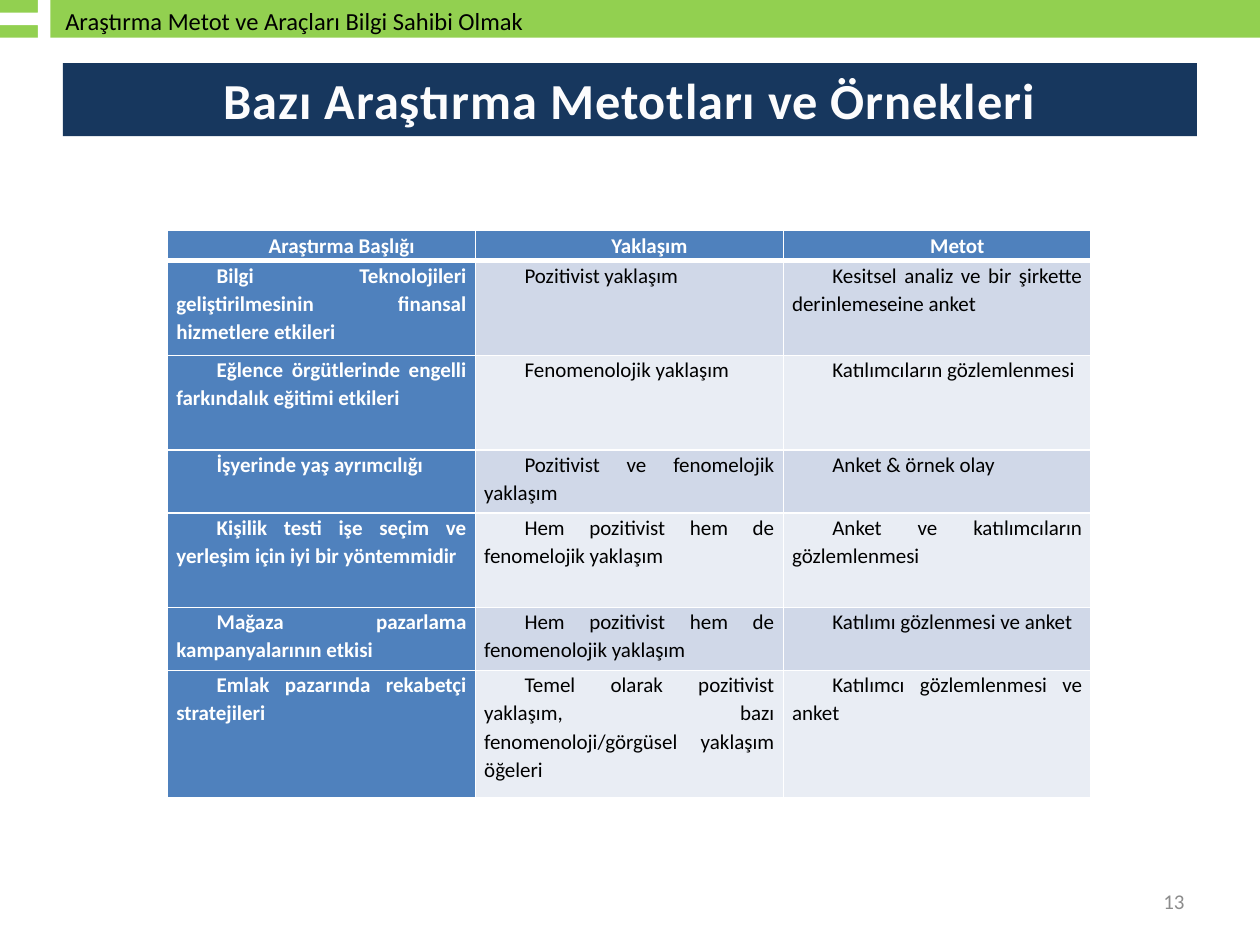
from math import cos, pi, sin

from lxml.etree import SubElement
from pptx import Presentation
from pptx.dml.color import RGBColor
from pptx.enum.shapes import MSO_SHAPE
from pptx.enum.text import MSO_ANCHOR, PP_ALIGN
from pptx.oxml.ns import qn
from pptx.util import Inches, Pt

COLORS = {
    "navy": "17375E", "green": "92D050", "blue": "4F81BD",
    "band_dark": "D0D8E8", "band_light": "E9EDF4",
    "white": "FFFFFF", "title": "FCFCFD", "black": "000000", "grey": "8C8C8C",
}
FONT = "Calibri"
GRID_COLS, GRID_ROWS = 100, 75
CELL = Inches(0.1)

ROW_HEIGHTS = [2.4, 7.5, 7.5, 5, 7.5, 5, 10.1]
ROWS = [
    ["Araştırma Başlığı", "Yaklaşım", "Metot"],
    ["Bilgi Teknolojileri geliştirilmesinin finansal hizmetlere etkileri",
     "Pozitivist yaklaşım",
     "Kesitsel analiz ve bir şirkette derinlemeseine anket"],
    ["Eğlence örgütlerinde engelli farkındalık eğitimi etkileri",
     "Fenomenolojik yaklaşım", "Katılımcıların gözlemlenmesi"],
    ["İşyerinde yaş ayrımcılığı",
     "Pozitivist ve fenomelojik yaklaşım", "Anket & örnek olay"],
    ["Kişilik testi işe seçim ve yerleşim için iyi bir yöntemmidir",
     "Hem pozitivist hem de fenomelojik yaklaşım",
     "Anket ve katılımcıların gözlemlenmesi"],
    ["Mağaza pazarlama kampanyalarının etkisi",
     "Hem pozitivist hem de fenomenolojik yaklaşım",
     "Katılımı gözlenmesi ve anket"],
    ["Emlak pazarında rekabetçi stratejileri",
     "Temel olarak pozitivist yaklaşım, bazı fenomenoloji/görgüsel yaklaşım öğeleri",
     "Katılımcı gözlemlenmesi ve anket"],
]


def rgb(name):
    """Return the named colour."""
    return RGBColor.from_string(COLORS[name])


def grid(*cells):
    """Turn grid columns and rows into lengths."""
    return [round(n * CELL) for n in cells]


def paint(sp, color):
    """Give a shape a flat fill without line or shadow."""
    sp.shadow.inherit = False
    sp.fill.solid()
    sp.fill.fore_color.rgb = rgb(color)
    sp.line.fill.background()


def add_bar(s, area, color):
    """Add a filled rectangle."""
    sp = s.shapes.add_shape(MSO_SHAPE.RECTANGLE, *grid(*area))
    paint(sp, color)
    return sp


def write(tf, text, size, color, align=PP_ALIGN.LEFT, bold=False):
    """Write one styled paragraph and return it."""
    p = tf.paragraphs[0]
    p.add_run().text = text
    p.alignment = align
    p.font.name, p.font.size, p.font.bold = FONT, Pt(size), bold
    p.font.color.rgb = rgb(color)
    return p


def add_label(s, area, text, size, color, align=PP_ALIGN.LEFT, anchor=MSO_ANCHOR.TOP):
    """Add a wrapping text box."""
    tf = s.shapes.add_textbox(*grid(*area)).text_frame
    tf.word_wrap = True
    tf.vertical_anchor = anchor
    write(tf, text, size, color, align)


def add_title(s, area, text):
    """Add the title bar with letter-spaced text."""
    tf = add_bar(s, area, "navy").text_frame
    tf.word_wrap = True
    tf.vertical_anchor = MSO_ANCHOR.MIDDLE
    p = write(tf, text, 28.8, "title", PP_ALIGN.CENTER, True)
    p.runs[0].font._element.set("spc", "50")


def ellipse(cx, cy, rx, ry, steps=40):
    """Return the points of an ellipse."""
    angles = [2 * pi * i / steps for i in range(steps)]
    return [(cx + rx * cos(a), cy + ry * sin(a)) for a in angles]


def add_target(s):
    """Add the white target and arrow as one outline."""
    cx, cy = 3.15, 1.5
    radii = [(1.05, 1.2), (0.8, 0.95), (0.48, 0.65), (0.22, 0.35), (0.1, 0.15)]
    top, bottom = cy - 0.04, cy + 0.06
    arrow = [(0.3, top), (0.6, top), (0.3, 1.2), (1.1, 1.2), (1.35, top), (2.1, top),
             (2.1, bottom), (1.35, bottom), (1.0, 1.9), (0.4, 1.9), (0.6, bottom),
             (0.3, bottom)]
    shafts = [[(a, top), (b, top), (b, bottom), (a, bottom)]
              for a, b in [(2.35, 2.67), (2.93, 3.05)]]
    outlines = [ellipse(cx, cy, *r) for r in radii] + [arrow] + shafts
    fb = s.shapes.build_freeform(*outlines[0][0], scale=CELL)
    fb.add_line_segments(outlines[0][1:])
    for points in outlines[1:]:
        fb.move_to(*points[0])
        fb.add_line_segments(points[1:])
    paint(fb.convert_to_shape(), "white")


def set_borders(cell, widths):
    """Draw white borders, widths in points by side."""
    tcPr = cell._tc.get_or_add_tcPr()
    for side in "LRTB":
        ln = SubElement(tcPr, qn(f"a:ln{side}"), w=str(Pt(widths.get(side, 1))))
        fill = SubElement(ln, qn("a:solidFill"))
        SubElement(fill, qn("a:srgbClr"), val=COLORS["white"])


def fill_cell(cell, text, row, col):
    """Write and style one table cell."""
    head = row == 0
    strong = head or col == 0
    set_borders(cell, {"B": 3} if head else {"T": 3} if row == 1 else {})
    cell.fill.solid()
    band = "band_dark" if row % 2 else "band_light"
    cell.fill.fore_color.rgb = rgb("blue" if strong else band)
    cell.margin_left = cell.margin_right = Inches(0.07)
    cell.margin_top = cell.margin_bottom = 0
    p = write(cell.text_frame, text, 12, "white" if strong else "black",
              PP_ALIGN.CENTER if head else PP_ALIGN.JUSTIFY, strong)
    p.line_spacing, p.space_after = 1.1, Pt(6)
    p._p.get_or_add_pPr().set("indent", str(Inches(0.32)))


def add_methods_table(s, area):
    """Add the table of research topics, approaches and methods."""
    table = s.shapes.add_table(len(ROWS), len(ROWS[0]), *grid(*area)).table
    for r, (height, texts) in enumerate(zip(ROW_HEIGHTS, ROWS)):
        table.rows[r].height = grid(height)[0]
        for c, text in enumerate(texts):
            fill_cell(table.cell(r, c), text, r, c)


def main():
    """Build the slide and save it."""
    prs = Presentation()
    prs.slide_width, prs.slide_height = grid(GRID_COLS, GRID_ROWS)
    s = prs.slides.add_slide(prs.slide_layouts[6])
    add_title(s, (5, 5, 90, 5.8), "Bazı Araştırma Metotları ve Örnekleri")
    add_bar(s, (0, 0, GRID_COLS, 3), "green")
    add_target(s)
    add_label(s, (4.2, 0, 84.2, 3.4), "Araştırma Metot ve Araçları Bilgi Sahibi Olmak",
              14, "black")
    add_label(s, (71.7, 69.5, 23.3, 4), "13", 12, "grey", PP_ALIGN.RIGHT,
              MSO_ANCHOR.MIDDLE)
    add_methods_table(s, (13.3, 18.3, 73.3, sum(ROW_HEIGHTS)))
    prs.save("out.pptx")


if __name__ == "__main__":
    main()
